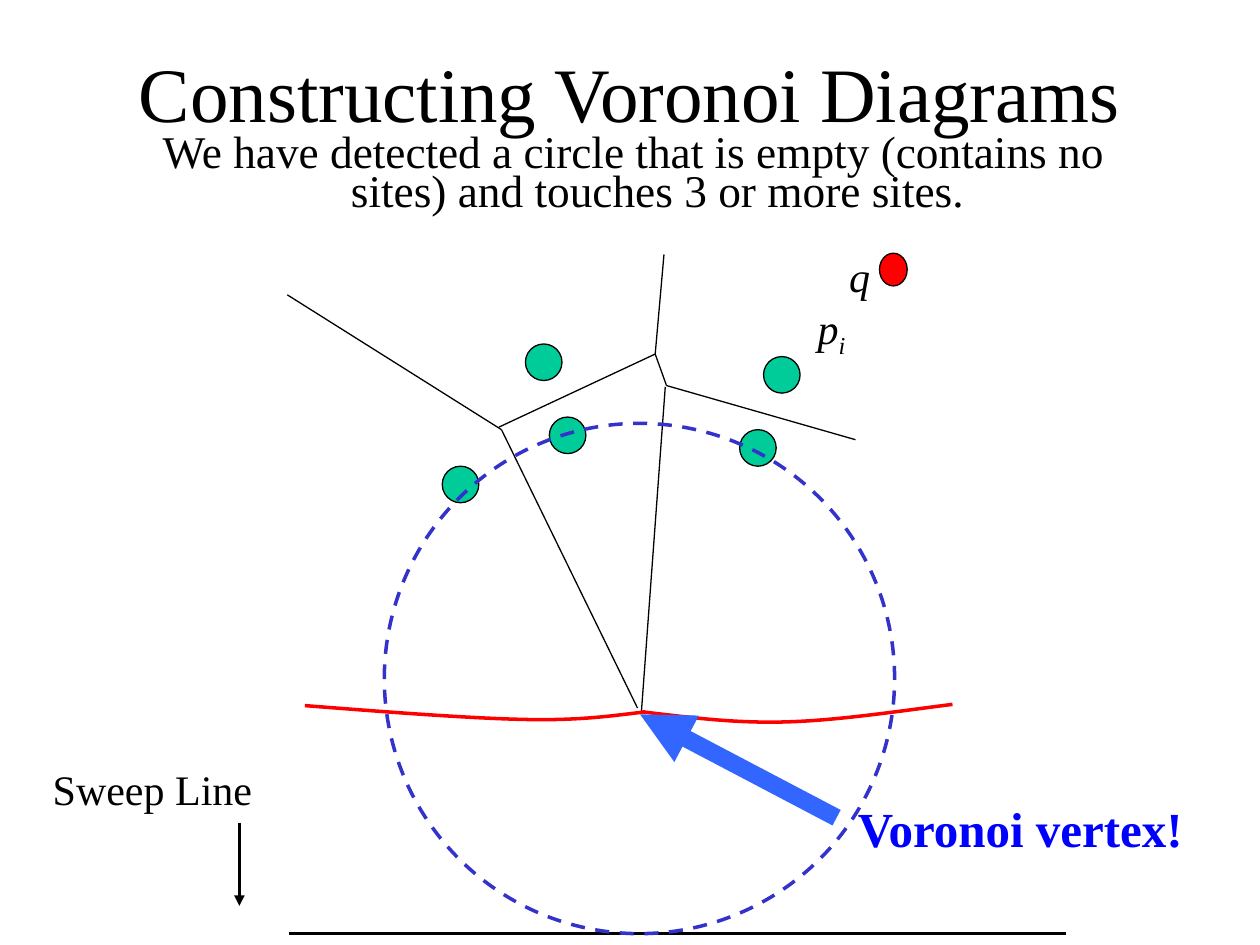
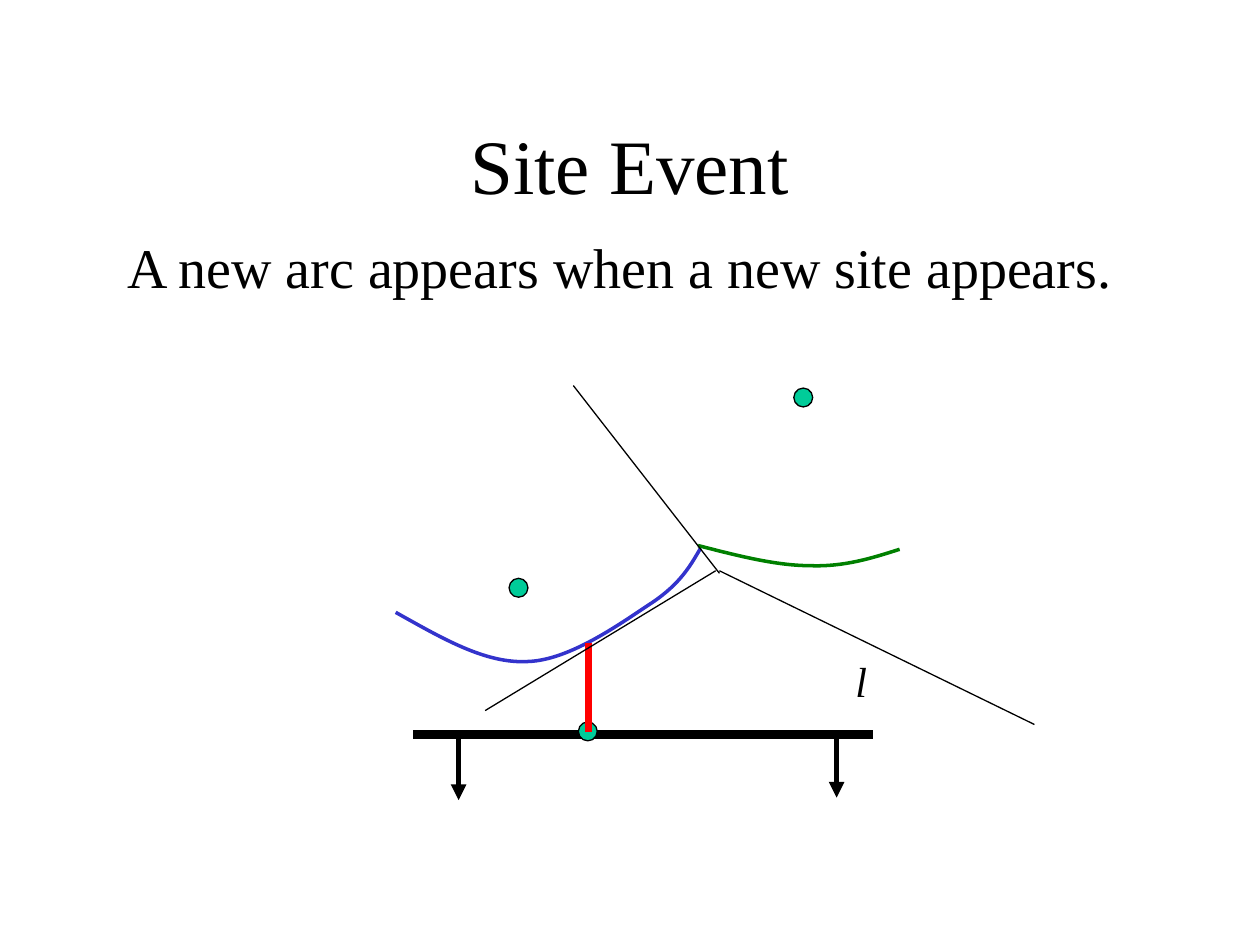
from lxml.etree import SubElement
from pptx import Presentation
from pptx.dml.color import RGBColor
from pptx.enum.dml import MSO_LINE
from pptx.enum.shapes import MSO_CONNECTOR, MSO_SHAPE
from pptx.enum.text import MSO_ANCHOR, PP_ALIGN
from pptx.oxml.ns import qn
from pptx.util import Inches, Pt

BLACK, RED, GREEN = "000000", "FF0000", "008000"
SITE, ARC, POINTER, CALLOUT = "00CC99", "3333CC", "3366FF", "0000FF"


def color(code):
    return RGBColor.from_string(code)


class Deck:
    """Shared style and the slide being drawn."""

    font = "Times New Roman"
    thin, bold_line = 0.75, 2

    def __init__(self):
        self.prs = Presentation()
        self.prs.slide_width, self.prs.slide_height = Inches(10), Inches(7.5)
        self.shapes = None

    def new_slide(self):
        self.shapes = self.prs.slides.add_slide(self.prs.slide_layouts[6]).shapes

    def text(self, box, runs, size, ink=BLACK, wrap=False, bold=False, italic=False):
        frame = self.shapes.add_textbox(*map(Inches, box)).text_frame
        frame.word_wrap = wrap
        paragraph = frame.paragraphs[0]
        for words, baseline in runs:
            run = paragraph.add_run()
            run.text = words
            font = run.font
            font.name, font.size = self.font, Pt(size)
            font.bold, font.italic = bold, italic
            font.color.rgb = color(ink)
            if baseline:
                run._r.get_or_add_rPr().set("baseline", str(baseline * 1000))
        return frame

    def label(self, box, words, size=24, subscript="", **style):
        runs = [(words, 0)] + ([(subscript, -25)] if subscript else [])
        self.text(box, runs, size, **style)

    def title(self, top, words):
        frame = self.text((0.75, top, 8.5, 1.25), [(words, 0)], 44, wrap=True)
        frame.vertical_anchor = MSO_ANCHOR.MIDDLE
        frame.paragraphs[0].alignment = PP_ALIGN.CENTER

    def statement(self, left, top, words, size, before, spacing=1.0):
        frame = self.text((left, top, 8.5, 0.74), [(words, 0)], size, wrap=True)
        paragraph = frame.paragraphs[0]
        paragraph.alignment = PP_ALIGN.CENTER
        paragraph.space_before, paragraph.line_spacing = Pt(before), spacing
        properties = paragraph._p.get_or_add_pPr()
        properties.set("marL", str(Inches(0.38)))
        properties.set("indent", str(Inches(-0.38)))

    def stroke(self, shape, ink, width):
        shape.line.color.rgb = color(ink)
        shape.line.width = Pt(width)

    def line(self, start, end, ink=BLACK, width=thin, arrow=False):
        connector = self.shapes.add_connector(
            MSO_CONNECTOR.STRAIGHT, *map(Inches, start + end))
        self.stroke(connector, ink, width)
        if arrow:
            SubElement(connector.line._get_or_add_ln(), qn("a:tailEnd"), type="triangle")
        SubElement(connector._element.spPr, qn("a:effectLst"))

    def ellipse(self, left, top, width, height, fill=None, ink=BLACK, weight=thin):
        oval = self.shapes.add_shape(
            MSO_SHAPE.OVAL, *map(Inches, (left, top, width, height)))
        oval.shadow.inherit = False
        self.stroke(oval, ink, weight)
        if fill:
            oval.fill.solid()
            oval.fill.fore_color.rgb = color(fill)
        else:
            oval.fill.background()
        return oval

    def sites(self, size, places):
        for left, top in places:
            self.ellipse(left, top, size, size, SITE)

    def curve(self, ink, start, *controls):
        """Draw cubic Bezier segments, three control points each."""
        builder = self.shapes.build_freeform(*map(Inches, start))
        builder.add_line_segments(
            [tuple(map(Inches, point)) for point in controls], close=False)
        arc = builder.convert_to_shape()
        arc.shadow.inherit = False
        arc.fill.background()
        self.stroke(arc, ink, self.bold_line)
        steps = list(arc._element.iter(qn("a:lnTo")))
        for first in range(0, len(steps), 3):
            segment = SubElement(steps[first].getparent(), qn("a:cubicBezTo"))
            for step in steps[first:first + 3]:
                segment.append(step[0])
                step.getparent().remove(step)


def constructing_voronoi(deck):
    deck.new_slide()
    deck.statement(0.78, 1.05, "We have detected a circle that is empty (contains no "
                   "sites) and touches 3 or more sites.", 25.9, 7, 0.7)
    deck.title(0.1, "Constructing Voronoi Diagrams")
    deck.line((2.29, 7.41), (8.46, 7.41), width=2)
    deck.label((0.32, 6.01, 1.78, 0.5), "Sweep Line")
    deck.line((1.9, 6.53), (1.9, 7.19), width=2, arrow=True)

    left_joint, top_joint, right_joint = (3.98, 3.41), (5.2, 2.81), (5.29, 3.06)
    for start, end in (
        (right_joint, top_joint),
        ((2.28, 2.34), left_joint),
        (left_joint, (5.06, 5.62)),
        ((5.09, 5.66), (5.28, 3.07)),
        ((3.96, 3.39), top_joint),
        (right_joint, (6.79, 3.49)),
        (top_joint, (5.27, 2.02)),
    ):
        deck.line(start, end)

    deck.sites(0.29, [(5.87, 3.41), (6.06, 2.83), (3.51, 3.7), (4.36, 3.31), (4.17, 2.73)])
    deck.label((6.39, 2.35, 0.42, 0.56), "p", subscript="i", italic=True)
    deck.label((6.64, 1.94, 0.36, 0.5), "q", italic=True)
    deck.ellipse(6.98, 2.01, 0.22, 0.26, RED)
    deck.curve(RED, (5.1, 5.65), (5.45, 5.69), (5.81, 5.74), (6.22, 5.73),
               (6.63, 5.72), (7.09, 5.65), (7.56, 5.59))
    deck.curve(RED, (2.42, 5.6), (3.06, 5.65), (3.71, 5.7), (4.16, 5.71),
               (4.61, 5.72), (4.86, 5.68), (5.12, 5.65))
    empty_circle = deck.ellipse(3.05, 3.36, 4.05, 4.05, ink=ARC, weight=2)
    empty_circle.line.dash_style = MSO_LINE.DASH
    deck.label((6.71, 6.29, 2.82, 0.57), "Voronoi vertex!", 28, ink=CALLOUT, bold=True)
    deck.line((6.64, 6.49), (5.08, 5.67), POINTER, 10, arrow=True)


def site_event(deck):
    deck.new_slide()
    deck.title(0.67, "Site Event")
    deck.statement(0.67, 1.8, "A new arc appears when a new site appears.", 32, 8)
    deck.sites(0.15, [(4.04, 4.59), (6.3, 3.08)])
    deck.line((3.28, 5.83), (6.93, 5.83), width=5)
    for x, top, bottom in ((3.64, 5.86, 6.35), (6.64, 5.85, 6.33)):
        deck.line((x, top), (x, bottom), width=3, arrow=True)
    deck.label((6.69, 5.15, 0.29, 0.5), "l", italic=True)
    deck.sites(0.15, [(4.59, 5.73)])
    deck.curve(ARC, (3.14, 4.86), (3.5, 5.06), (3.85, 5.27), (4.19, 5.25),
               (4.53, 5.24), (4.95, 4.93), (5.18, 4.78),
               (5.4, 4.63), (5.48, 4.49), (5.56, 4.35))
    deck.curve(GREEN, (5.54, 4.33), (5.85, 4.41), (6.16, 4.49), (6.43, 4.49),
               (6.7, 4.5), (6.92, 4.43), (7.14, 4.36))
    deck.line((4.67, 5.81), (4.67, 5.1), RED, 4)
    for start, end in (
        ((4.55, 3.06), (5.71, 4.55)),
        ((3.85, 5.64), (5.68, 4.53)),
        ((5.71, 4.53), (8.21, 5.75)),
    ):
        deck.line(start, end)


def main():
    deck = Deck()
    constructing_voronoi(deck)
    site_event(deck)
    deck.prs.save("out.pptx")


if __name__ == "__main__":
    main()
